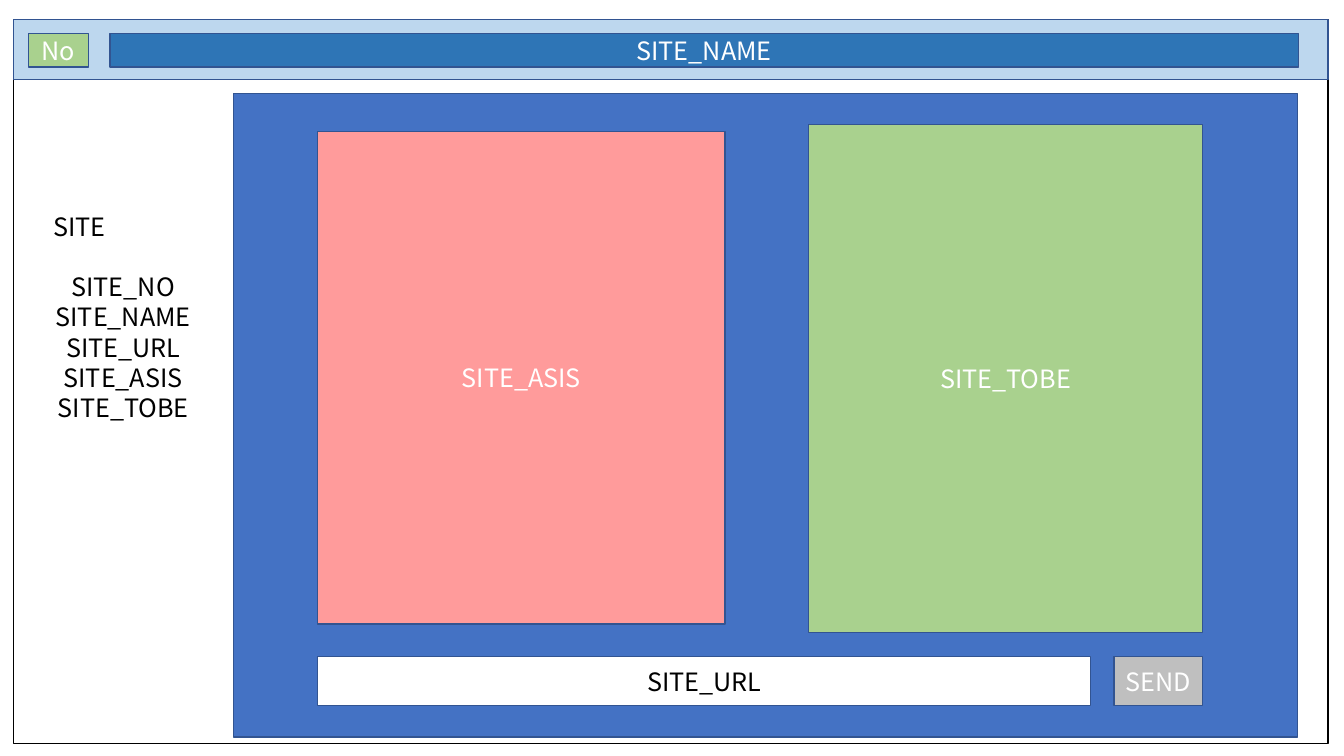
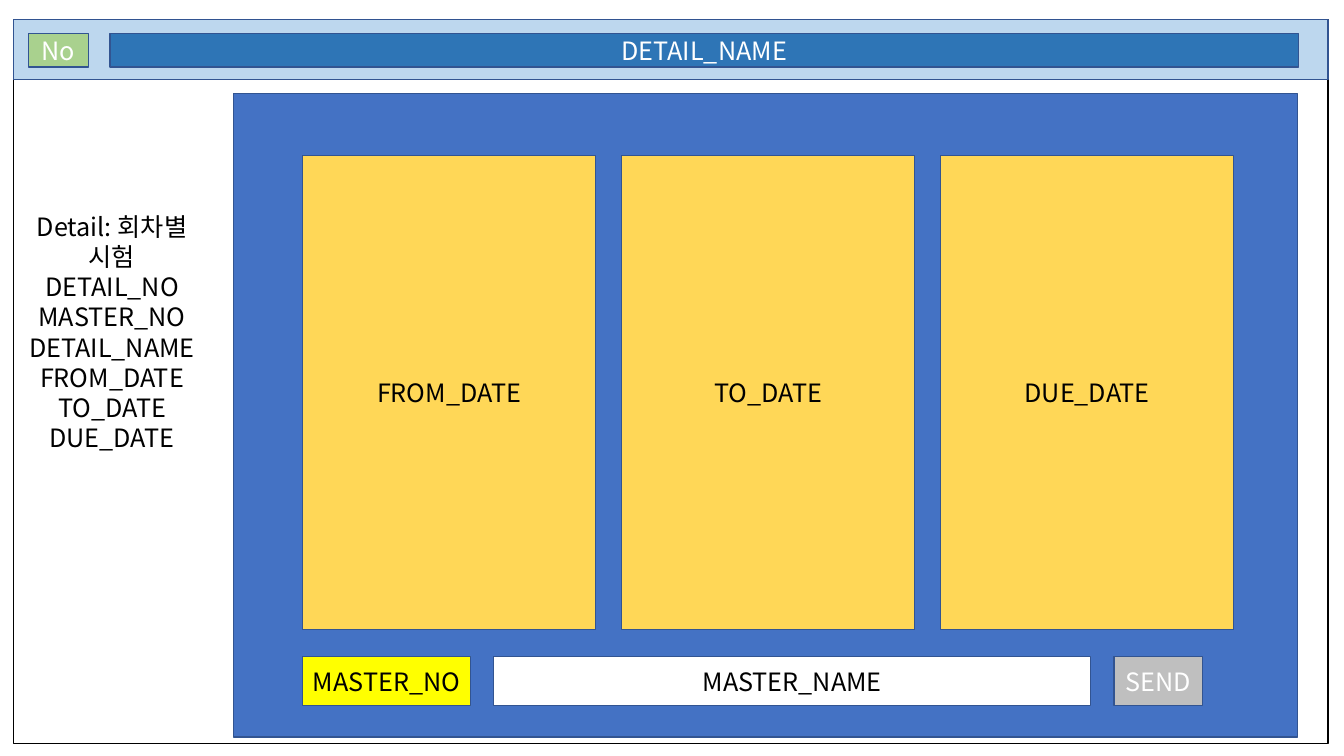
from lxml import etree
from pptx import Presentation
from pptx.dml.color import RGBColor
from pptx.enum.shapes import MSO_SHAPE
from pptx.enum.text import MSO_ANCHOR, MSO_AUTO_SIZE, PP_ALIGN
from pptx.oxml.ns import qn
from pptx.util import Pt

RECT = MSO_SHAPE.RECTANGLE
MIDDLE, TOP = MSO_ANCHOR.MIDDLE, MSO_ANCHOR.TOP
CENTER, LEFT = PP_ALIGN.CENTER, PP_ALIGN.LEFT
NO_FIT = MSO_AUTO_SIZE.NONE

FONT, FONT_SIZE, LINE_PITCH = "Noto Sans CJK KR", 18, 21.6
WHITE, BLACK, OUTLINE = "FFFFFF", "000000", "325491"
BAND, TITLE_BAR, PANEL = "BDD7EE", "2E75B6", "4472C4"
GREEN, PINK, GOLD, YELLOW, GRAY = "A9D18E", "FF9B9B", "FFD757", "FFFF00", "BFBFBF"

FRAME_BOX = (9.5, 13.8, 939, 517.5)
PANEL_BOX = (167, 67, 760, 459.5)
BAND_HEIGHT = 43
FIELD_TOP, FIELD_HEIGHT, FIELD_GAP = 401.8, 35.3, 16.5
SEND_LEFT, SEND_WIDTH = 628.6, 63.4


def rgb(hex_color):
    """Turn a hex string into a colour."""
    return RGBColor.from_string(hex_color)


def place(shape, box):
    """Move and size a shape to a box in points."""
    shape.left, shape.top, shape.width, shape.height = map(Pt, box)


def set_font(paragraph, color):
    """Give a paragraph the deck's font for Latin and Korean text."""
    font = paragraph.font
    font.name, font.size, font.bold = FONT, Pt(FONT_SIZE), False
    font.color.rgb = rgb(color)
    properties = paragraph._p.pPr.find(qn("a:defRPr"))
    etree.SubElement(properties, qn("a:ea"), typeface=FONT)


def paint(shape, fill, text="", color=WHITE, line=OUTLINE):
    """Fill and outline a shape and centre its label."""
    shape.shadow.inherit = False
    shape.fill.solid()
    shape.fill.fore_color.rgb = rgb(fill)
    shape.line.color.rgb = rgb(line)
    shape.line.width = Pt(1)
    if text:
        frame = shape.text_frame
        frame.text = text
        frame.auto_size, frame.vertical_anchor = NO_FIT, MIDDLE
        frame.margin_left = frame.margin_right = 0
        frame.margin_top = frame.margin_bottom = 0
        label = frame.paragraphs[0]
        label.alignment = CENTER
        set_font(label, color)


def add_block(slide, origin, box, fill, text="", color=WHITE, line=OUTLINE):
    """Draw a rectangle at an offset from the origin of its region."""
    left, top, width, height = box
    corner = Pt(origin[0] + left), Pt(origin[1] + top)
    block = slide.shapes.add_shape(RECT, *corner, Pt(width), Pt(height))
    paint(block, fill, text, color, line)


def add_header(slide, box, name):
    """Place the band, number badge and title bar in the frame."""
    left, top, width, _ = box
    add_block(slide, box, (0, 0, width, BAND_HEIGHT), BAND)
    add_block(slide, box, (10.7, 10, 43.2, 24), GREEN, "No")
    title = slide.shapes.title
    place(title, (left + 69, top + 10, width - 90, 24))
    paint(title, TITLE_BAR, name)
    slide.shapes._spTree.append(title._element)


def add_columns(slide, box, heading, columns, heading_align, heading_gap):
    """List the table's columns under its heading."""
    listing = slide.placeholders[1]
    place(listing, box)
    frame = listing.text_frame
    frame.text = "\n".join([heading, *columns])
    frame.auto_size, frame.vertical_anchor, frame.word_wrap = NO_FIT, TOP, True
    for paragraph in frame.paragraphs:
        paragraph.alignment = CENTER
        paragraph.line_spacing = Pt(LINE_PITCH)
        paragraph.space_before = Pt(0)
        set_font(paragraph, BLACK)
        properties = paragraph._p.pPr
        properties.set("marL", "0")
        properties.set("indent", "0")
        no_bullet = etree.Element(qn("a:buNone"))
        properties.find(qn("a:defRPr")).addprevious(no_bullet)
    frame.paragraphs[0].alignment = heading_align
    frame.paragraphs[0].space_after = Pt(heading_gap)
    slide.shapes._spTree.append(listing._element)


def add_field(slide, box, left, width, fill, text, color=BLACK):
    """Place one field in the bottom row of the panel."""
    field_box = (left, FIELD_TOP, width, FIELD_HEIGHT)
    add_block(slide, box, field_box, fill, text, color)


def add_entry(slide, box, left, text):
    """Place the entry field, which reaches up to the send button."""
    add_field(slide, box, left, SEND_LEFT - FIELD_GAP - left, WHITE, text)
    add_field(slide, box, SEND_LEFT, SEND_WIDTH, GRAY, "SEND", WHITE)


def add_site_panel(slide, box):
    """Fill the panel with the two site states and the address."""
    add_block(slide, box, (60, 26.8, 291, 352), PINK, "SITE_ASIS")
    add_block(slide, box, (410.5, 22, 281.5, 363), GREEN, "SITE_TOBE")
    add_entry(slide, box, 60, "SITE_URL")


def add_detail_panel(slide, box):
    """Fill the panel with the date cards and the master fields."""
    left, card_width, pitch, key_width = 49, 209.5, 227.9, 120.2
    for index, date in enumerate(("FROM_DATE", "TO_DATE", "DUE_DATE")):
        card = (left + index * pitch, 44, card_width, 338.5)
        add_block(slide, box, card, GOLD, date, BLACK)
    add_field(slide, box, left, key_width, YELLOW, "MASTER_NO")
    add_entry(slide, box, left + key_width + FIELD_GAP, "MASTER_NAME")


def add_screen(deck, name, list_box, heading, columns, fill_panel,
               heading_align=CENTER, heading_gap=0):
    """Build one screen with header, column list and panel."""
    slide = deck.slides.add_slide(deck.slide_layouts[1])
    add_block(slide, (0, 0), FRAME_BOX, WHITE, line=BLACK)
    add_header(slide, FRAME_BOX, name)
    add_block(slide, (0, 0), PANEL_BOX, PANEL)
    add_columns(slide, list_box, heading, columns, heading_align, heading_gap)
    fill_panel(slide, PANEL_BOX)


def main():
    """Build and save the deck."""
    deck = Presentation()
    deck.slide_width, deck.slide_height = Pt(960), Pt(540)
    add_screen(
        deck, "SITE_NAME", (31, 147, 114, 181.5), "SITE",
        ("SITE_NO", "SITE_NAME", "SITE_URL", "SITE_ASIS", "SITE_TOBE"),
        add_site_panel, LEFT, LINE_PITCH)
    add_screen(
        deck, "DETAIL_NAME", (11.5, 147, 137, 181.5), "Detail: 회차별 시험",
        ("DETAIL_NO", "MASTER_NO", "DETAIL_NAME", "FROM_DATE", "TO_DATE",
         "DUE_DATE"),
        add_detail_panel)
    deck.save("out.pptx")


if __name__ == "__main__":
    main()
